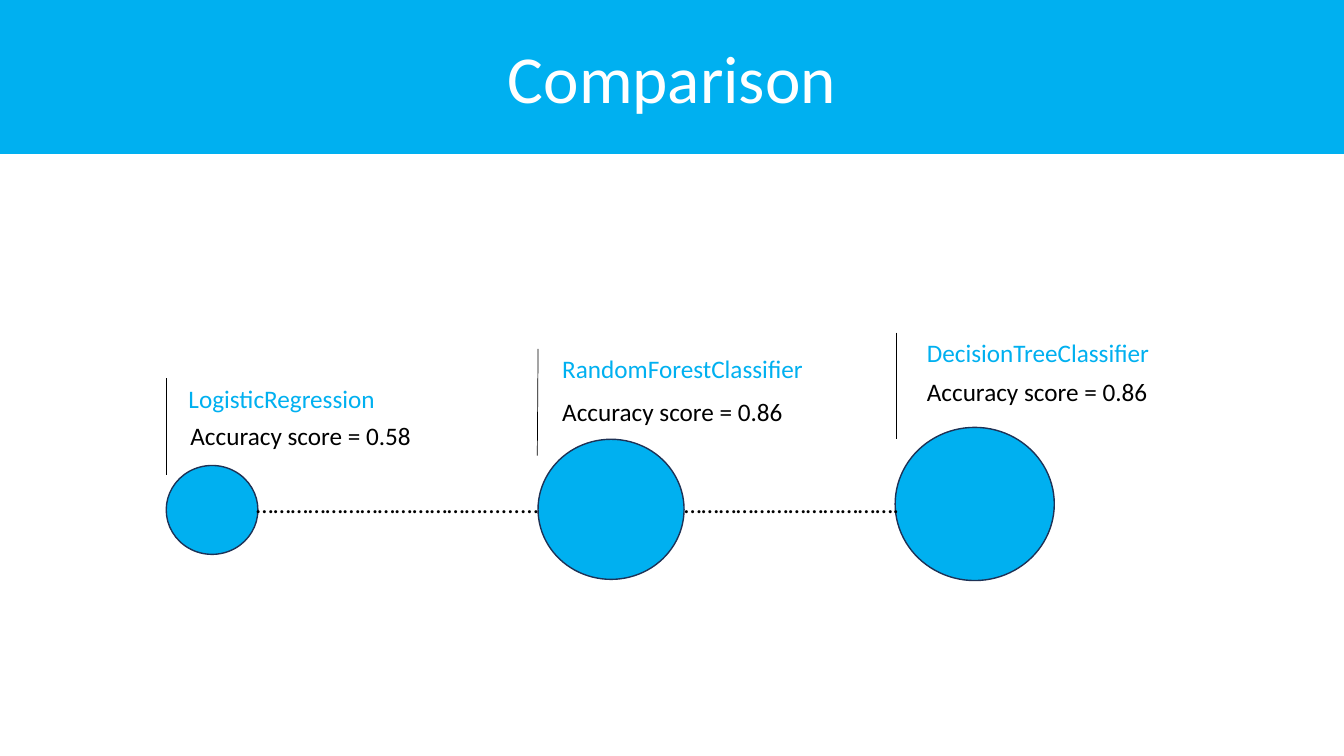
from pptx import Presentation
from pptx.dml.color import RGBColor
from pptx.enum.shapes import MSO_CONNECTOR as Link, MSO_SHAPE as Shape
from pptx.enum.text import MSO_ANCHOR as Anchor, MSO_AUTO_SIZE as Fit, PP_ALIGN as Align
from pptx.oxml.xmlchemy import OxmlElement as Node
from pptx.util import Cm, Pt

SKY = RGBColor(0x00, 0xB0, 0xF0)
NAVY = RGBColor(0x1E, 0x32, 0x56)
BLACK = RGBColor(0, 0, 0)
WHITE = RGBColor(255, 255, 255)
FONT = "Calibri"
WIDE, HIGH = 33.87, 19.05
ROW = 1.02  # height of one text line

# Per model: name, (left, top, width), score, (left, top, width),
# circle (left, top, width, height), rule (from x, from y, to x, to y)
MODELS = [
    ("LogisticRegression", (4.5, 9.53, 5.26), "0.58", (4.55, 10.46, 6.12),
     (4.19, 11.73, 2.31, 2.24), (4.19, 9.53, 4.19, 11.96)),
    ("RandomForestClassifier", (13.92, 8.79, 6.63), "0.86", (13.92, 9.86, 6.32),
     (13.56, 11.07, 3.68, 3.53), (13.56, 8.79, 13.54, 11.48)),
    ("DecisionTreeClassifier", (23.11, 8.38, 6.17), "0.86", (23.11, 9.35, 6.88),
     (22.56, 10.77, 4.01, 3.86), (22.58, 8.38, 22.58, 11.07)),
]
DOTS = [
    ("………………………………….........", (6.2, 12.19, 8.76)),
    ("……………………………….", (16.99, 12.19, 6.17)),
]


def paint(shape, fill, line):
    shape.fill.solid()
    shape.fill.fore_color.rgb = fill
    shape.line.color.rgb = line
    shape.line.width = Pt(1)


def style(frame, size, color):
    font = frame.paragraphs[0].runs[0].font
    font.name, font.size, font.color.rgb = FONT, Pt(size), color


def add_title(slide, text):
    band = slide.shapes.title
    band.left, band.top, band.width, band.height = Cm(0), Cm(0), Cm(WIDE), Cm(3.86)
    paint(band, SKY, SKY)
    frame = band.text_frame
    frame.text = text
    frame.auto_size = Fit.NONE
    frame.vertical_anchor = Anchor.MIDDLE
    frame.paragraphs[0].alignment = Align.CENTER
    style(frame, 48, WHITE)


def add_disc(slide, box):
    disc = slide.shapes.add_shape(Shape.FLOWCHART_CONNECTOR, *map(Cm, box))
    disc.shadow.inherit = False
    paint(disc, SKY, NAVY)


def add_rule(slide, ends):
    rule = slide.shapes.add_connector(Link.STRAIGHT, *map(Cm, ends))
    rule.line.color.rgb = BLACK
    rule.line.width = Pt(0.5)
    rule._element.spPr.append(Node("a:effectLst"))


def add_label(slide, text, place, color=BLACK, wrap=True):
    box = slide.shapes.add_textbox(*map(Cm, (*place, ROW)))
    frame = box.text_frame
    frame.text = text
    frame.word_wrap = wrap
    frame.auto_size = Fit.SHAPE_TO_FIT_TEXT
    style(frame, 18, color)


def main():
    deck = Presentation()
    deck.slide_width, deck.slide_height = Cm(WIDE), Cm(HIGH)
    slide = deck.slides.add_slide(deck.slide_layouts[5])

    # Title band
    add_title(slide, "Comparison")

    # Models with their circles, rules and scores
    for name, spot, score, place, disc, rule in MODELS:
        add_disc(slide, disc)
        add_rule(slide, rule)
        add_label(slide, f"Accuracy score = {score}", place)
        add_label(slide, name, spot, SKY, wrap=False)

    # Dotted links between the circles
    for text, place in DOTS:
        add_label(slide, text, place)

    deck.save("out.pptx")


if __name__ == "__main__":
    main()
